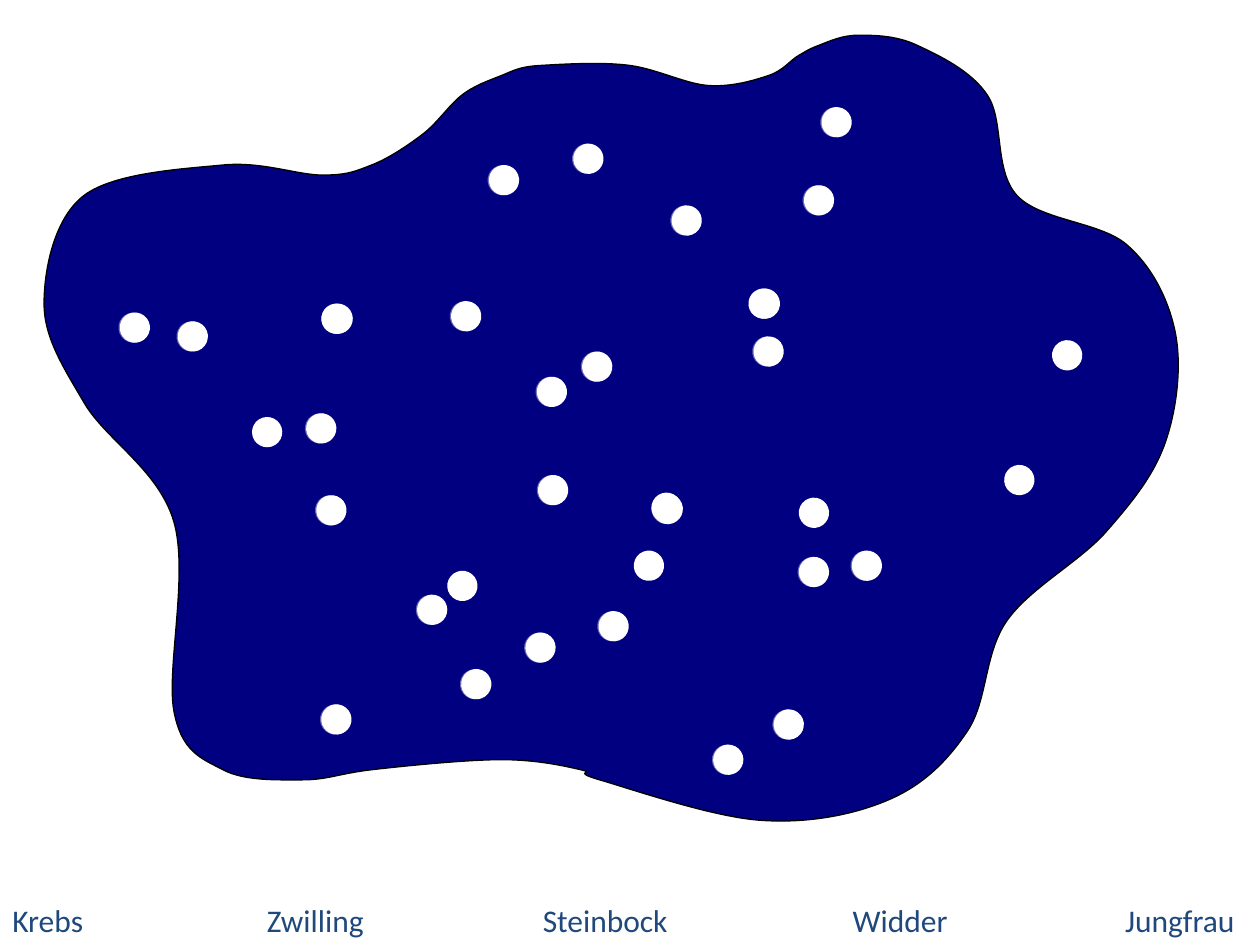
from lxml.etree import SubElement
from pptx import Presentation
from pptx.dml.color import RGBColor
from pptx.enum.shapes import MSO_SHAPE
from pptx.enum.text import MSO_AUTO_SIZE
from pptx.oxml.ns import qn
from pptx.util import Pt

GRID = Pt(0.72)
STAR_SIZE = 24 * GRID
HALO_SHIFT = 1
HALO_OPACITY = "40000"
NIGHT, STARLIGHT, OUTLINE, LABEL = "000080", "FFFFFF", "000000", "1F497D"


def color(hex_value):
    return RGBColor.from_string(hex_value)


def add_star(group, x, y, tilt):
    star = group.shapes.add_shape(MSO_SHAPE.OVAL, x * GRID, y * GRID, STAR_SIZE, STAR_SIZE)
    star.rotation = tilt
    star.shadow.inherit = False
    star.fill.solid()
    star.fill.fore_color.rgb = color(STARLIGHT)
    star.line.fill.background()
    return star


presentation = Presentation()
presentation.slide_width = Pt(720)
presentation.slide_height = Pt(540)
slide = presentation.slides.add_slide(presentation.slide_layouts[6])

sky_corners = [
    (461, 611), (398, 603), (295, 611), (240, 619), (177, 611), (138, 564), (138, 414), (67, 320),
    (35, 241), (67, 155), (177, 131), (256, 139), (295, 131), (335, 107), (366, 76), (398, 60),
    (429, 52), (500, 52), (563, 68), (610, 60), (634, 44), (650, 36), (681, 28), (728, 36),
    (784, 76), (807, 155), (894, 194), (933, 265), (925, 351), (878, 422), (799, 493), (768, 580),
    (705, 635), (602, 651), (476, 619),
]
corner_count = len(sky_corners)
handles = []
for index in range(corner_count):
    before_x, before_y = sky_corners[index - 1]
    after_x, after_y = sky_corners[(index + 1) % corner_count]
    handles.append(((after_x - before_x) / 6, (after_y - before_y) / 6))

sky_curve = []
for index, (start_x, start_y) in enumerate(sky_corners):
    following = (index + 1) % corner_count
    end_x, end_y = sky_corners[following]
    leave_x, leave_y = handles[index]
    arrive_x, arrive_y = handles[following]
    sky_curve += [
        (start_x + leave_x, start_y + leave_y),
        (end_x - arrive_x, end_y - arrive_y),
        (end_x, end_y),
    ]

sky_builder = slide.shapes.build_freeform(*sky_corners[0], scale=GRID)
sky_builder.add_line_segments(sky_curve, close=True)
sky = sky_builder.convert_to_shape()
sky.shadow.inherit = False
sky.fill.solid()
sky.fill.fore_color.rgb = color(NIGHT)
sky.line.color.rgb = color(OUTLINE)
sky.line.width = Pt(0.75)

segments = list(sky.element.iter(qn("a:lnTo")))
for curve, *later_points in zip(segments[::3], segments[1::3], segments[2::3]):
    for later_point in later_points:
        curve.append(later_point[0])
        later_point.getparent().remove(later_point)
    curve.tag = qn("a:cubicBezTo")

constellations = [
    {"tilt": 8.7,
     "with_halo": [(533, 163), (598, 267)],
     "without_halo": [(594, 229)]},
    {"tilt": 9.6,
     "with_halo": [(243, 328), (255, 559), (518, 392), (462, 279), (455, 114)],
     "without_halo": [(355, 453), (634, 395), (797, 369), (835, 270)]},
    {"tilt": 353.1,
     "with_halo": [(388, 131), (427, 377), (426, 299), (366, 531), (614, 563)],
     "without_halo": []},
    {"tilt": 357.6,
     "with_halo": [(256, 241), (634, 442), (676, 437), (566, 591), (331, 472), (417, 502)],
     "without_halo": [(200, 331), (517, 391)]},
    {"tilt": 353.3,
     "with_halo": [(95, 248), (141, 255), (358, 239), (638, 147), (652, 85), (475, 485), (251, 393)],
     "without_halo": [(255, 241), (595, 229), (503, 437)]},
]
halo_group = slide.shapes.add_group_shape()
for constellation in constellations:
    tilt = constellation["tilt"]
    for x, y in constellation["with_halo"]:
        halo = add_star(halo_group, x - HALO_SHIFT, y, tilt)
        halo_color = halo.element.spPr.find(qn("a:solidFill"))[0]
        SubElement(halo_color, qn("a:alpha")).set("val", HALO_OPACITY)
    star_group = slide.shapes.add_group_shape()
    for x, y in constellation["with_halo"] + constellation["without_halo"]:
        add_star(star_group, x, y, tilt)

zodiac_signs = [
    ("Krebs", 0, 55.4),
    ("Zwilling", 145.4, 70.6),
    ("Steinbock", 303.1, 86.4),
    ("Widder", 480.2, 71.3),
    ("Jungfrau", 635.8, 77.8),
]
for sign, left, width in zodiac_signs:
    caption = slide.shapes.add_textbox(Pt(left), Pt(511.5), Pt(width), Pt(29)).text_frame
    caption.word_wrap = False
    caption.auto_size = MSO_AUTO_SIZE.SHAPE_TO_FIT_TEXT
    run = caption.paragraphs[0].add_run()
    run.text = sign
    run.font.name = "Calibri"
    run.font.size = Pt(18)
    run.font.color.rgb = color(LABEL)

presentation.save("out.pptx")
